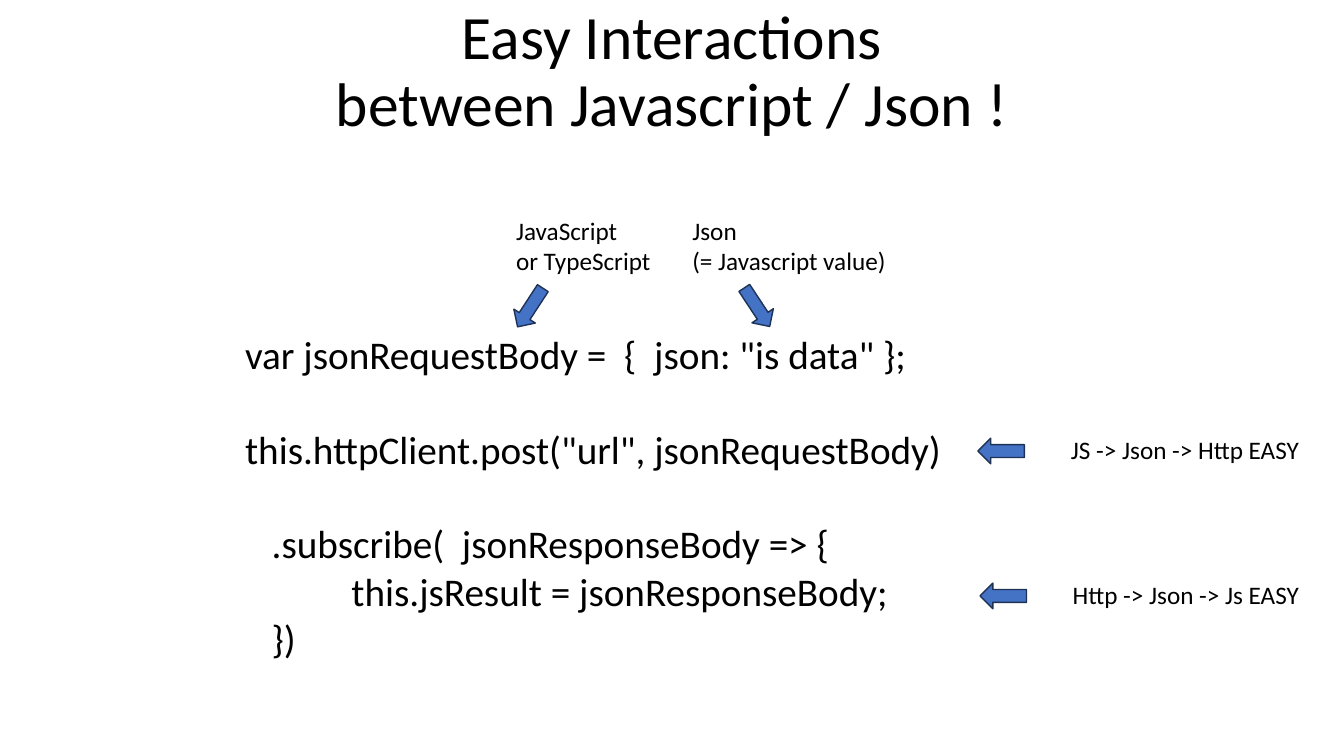
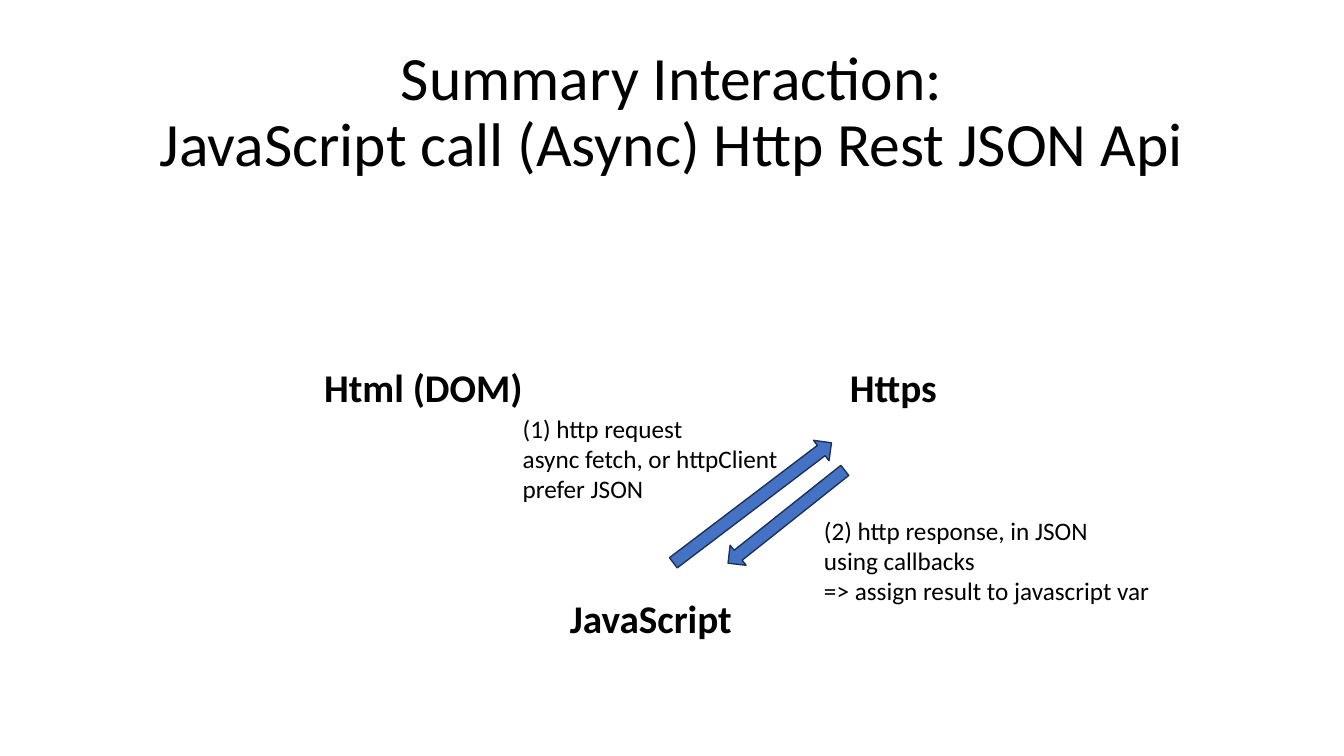
from pptx import Presentation
from pptx.dml.color import RGBColor
from pptx.enum import shapes, text
from pptx.util import Pt

FONT = "Calibri"
INK, BLUE, EDGE = "000000", "4472C4", "1E3256"
LEFT, MID, RIGHT = text.PP_ALIGN.LEFT, text.PP_ALIGN.CENTER, text.PP_ALIGN.RIGHT


def write(slide, words, x, y, w, h, size=18, bold=False, align=LEFT):
    frame = slide.shapes.add_textbox(Pt(x), Pt(y), Pt(w), Pt(h)).text_frame
    frame.word_wrap = True
    frame.text = words
    for para in frame.paragraphs:
        para.alignment = align
        para.font.name = FONT
        para.font.size = Pt(size)
        para.font.bold = bold
        para.font.color.rgb = RGBColor.from_string(INK)
    return frame


def arrow(slide, x, y, w, turn):
    shape = slide.shapes.add_shape(
        shapes.MSO_SHAPE.RIGHT_ARROW, Pt(x), Pt(y), Pt(w), Pt(18.3))
    shape.rotation = turn
    shape.shadow.inherit = False
    shape.fill.solid()
    shape.fill.fore_color.rgb = RGBColor.from_string(BLUE)
    shape.line.color.rgb = RGBColor.from_string(EDGE)
    shape.line.width = Pt(1)


deck = Presentation()
deck.slide_width, deck.slide_height = Pt(960), Pt(540)

pages = []
for title, top in [
    ("Easy Interactions\vbetween Javascript / Json !", 0),
    ("Summary Interaction:\vJavaScript call (Async) Http Rest JSON Api", 29),
]:
    page = deck.slides.add_slide(deck.slide_layouts[6])
    frame = write(page, title, 66, top, 828, 104, 44, align=MID)
    frame.vertical_anchor = text.MSO_ANCHOR.MIDDLE
    frame.paragraphs[0].line_spacing = 0.9
    pages.append(page)
easy, recap = pages

code = write(easy, """var jsonRequestBody =  {  json: "is data" };
this.httpClient.post("url", jsonRequestBody)
   .subscribe(  jsonResponseBody => {
            this.jsResult = jsonResponseBody;
   })""", 168, 232.5, 531, 245, 28)
for para in code.paragraphs[1:3]:
    para.space_before = Pt(34)

write(easy, "JavaScript\nor TypeScript", 361.5, 150, 120, 51)
write(easy, "Json\n(= Javascript value)", 487.5, 150, 160, 51)
arrow(easy, 362.2, 210.5, 33, 123.1)
arrow(easy, 524.2, 210.3, 33, 56.6)

for note, x, y in [
    ("JS -> Json -> Http EASY", 698.5, 313),
    ("Http -> Json -> Js EASY", 700, 416.5),
]:
    arrow(easy, x, y, 33.2, 180)
    write(easy, note, 740, y - 6.3, 195, 29, align=RIGHT)

for name, x, y, w in [
    ("Html (DOM)", 224.5, 256, 162),
    ("Https", 600, 256, 82),
    ("JavaScript", 400, 421, 136),
]:
    write(recap, name, x, y, w, 41, 28, bold=True)

arrow(recap, 466.6, 350, 141.8, 322.8)
arrow(recap, 508.5, 360, 106.5, 141.5)

write(recap, "(1) http request\nasync fetch, or httpClient\nprefer JSON",
      366.3, 291.6, 205, 73)
write(recap, "(2) http response, in JSON\nusing callbacks\n"
      "=> assign result to javascript var", 581.5, 364.5, 255, 73)

deck.save("out.pptx")
